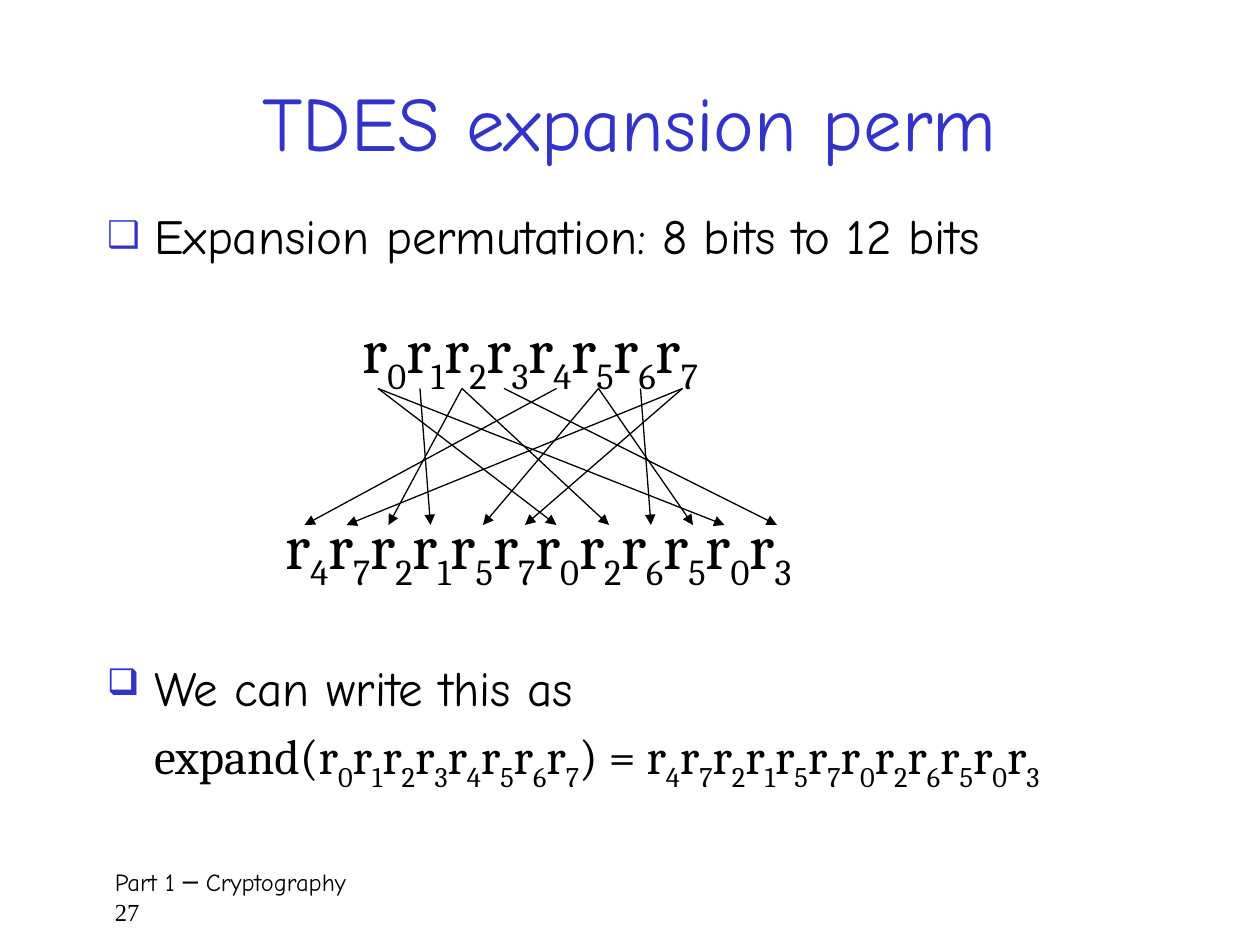
from itertools import groupby

from lxml import etree
from pptx import Presentation
from pptx.dml.color import RGBColor
from pptx.enum.shapes import MSO_CONNECTOR
from pptx.enum.text import MSO_ANCHOR, MSO_AUTO_SIZE, PP_ALIGN
from pptx.oxml.ns import qn
from pptx.util import Pt

BLACK = RGBColor(0x00, 0x00, 0x00)
BLUE = RGBColor(0x33, 0x33, 0xCC)
STRAIGHT = MSO_CONNECTOR.STRAIGHT
MIDDLE, TOP = MSO_ANCHOR.MIDDLE, MSO_ANCHOR.TOP
CENTER, LEFT = PP_ALIGN.CENTER, PP_ALIGN.LEFT
NO_AUTOFIT = MSO_AUTO_SIZE.NONE
HEADING_FONT, MATH_FONT, NUMBER_FONT = "Comic Neue", "Cambria", "Times New Roman"

EXPANSION = [4, 7, 2, 1, 5, 7, 0, 2, 6, 5, 0, 3]
INPUT_BITS = "".join(f"r{bit}" for bit in range(8))
OUTPUT_BITS = "".join(f"r{bit}" for bit in EXPANSION)


def add_text(para, text, font, size, color=BLACK, subscripts=False):
    """Add text to a paragraph, with digits set as subscripts if asked."""
    for is_digit, letters in groupby(text, lambda c: subscripts and c.isdigit()):
        span = para.add_run()
        span.text = "".join(letters)
        span.font.name = font
        span.font.size = Pt(size)
        span.font.color.rgb = color
        if is_digit:
            span.font._element.set("baseline", "-25000")


def format_item(para, bullet):
    """Indent a list paragraph and give it a blue box bullet, or none."""
    para.alignment = LEFT
    para.space_before = Pt(5.6)
    properties = para._p.get_or_add_pPr()
    properties.set("marL", str(Pt(27)))
    properties.set("indent", str(Pt(-27 if bullet else 0)))
    if not bullet:
        etree.SubElement(properties, qn("a:buNone"))
        return
    color = etree.SubElement(properties, qn("a:buClr"))
    etree.SubElement(color, qn("a:srgbClr"), val=str(BLUE))
    etree.SubElement(properties, qn("a:buSzPct"), val="75000")
    etree.SubElement(properties, qn("a:buChar"), char="❑")


deck = Presentation()
deck.slide_width, deck.slide_height = Pt(720), Pt(540)
page = deck.slides.add_slide(deck.slide_layouts[1])

# Title
title = page.shapes.title
title.left, title.top, title.width, title.height = Pt(54), Pt(24), Pt(612), Pt(90)
title.text_frame.vertical_anchor = MIDDLE
title.text_frame.auto_size = NO_AUTOFIT
title_para = title.text_frame.paragraphs[0]
title_para.alignment = CENTER
add_text(title_para, "TDES expansion perm", HEADING_FONT, 44, BLUE)

# First list item
body = page.placeholders[1]
body.left, body.top, body.width, body.height = Pt(54), Pt(114), Pt(612), Pt(54)
body.text_frame.vertical_anchor = TOP
body.text_frame.auto_size = NO_AUTOFIT
item = body.text_frame.paragraphs[0]
format_item(item, bullet=True)
add_text(item, "Expansion permutation: 8 bits to 12 bits", HEADING_FONT, 28)

# Input and output bit rows
for bits, left, top, width in [(INPUT_BITS, 200, 174, 226),
                               (OUTPUT_BITS, 156, 286, 426)]:
    row = page.shapes.add_textbox(Pt(left), Pt(top), Pt(width), Pt(50.5))
    row.text_frame.word_wrap = True
    add_text(row.text_frame.paragraphs[0], bits, MATH_FONT, 36, subscripts=True)

# Arrows from each input bit to its output positions
input_x = [216, 240, 264, 288, 318, 342, 366, 390]
output_x = [174, 198, 222, 246, 276, 300, 318, 348, 372, 396, 414, 444]
for bit, end_x in zip(EXPANSION, output_x):
    arrow = page.shapes.add_connector(
        STRAIGHT, Pt(input_x[bit]), Pt(222), Pt(end_x), Pt(300))
    arrow.line.color.rgb = BLACK
    arrow.line.width = Pt(0.75)
    etree.SubElement(arrow.line._get_or_add_ln(), qn("a:tailEnd"), type="triangle")
    etree.SubElement(arrow._element.spPr, qn("a:effectLst"))

# Second list item with the formula
formula_box = page.shapes.add_textbox(Pt(54), Pt(372), Pt(642), Pt(96))
formula_box.text_frame.word_wrap = True
item = formula_box.text_frame.paragraphs[0]
format_item(item, bullet=True)
add_text(item, "We can write this as", HEADING_FONT, 28)
formula = formula_box.text_frame.add_paragraph()
format_item(formula, bullet=False)
add_text(formula, f"expand({INPUT_BITS}) = {OUTPUT_BITS}", MATH_FONT, 28,
         subscripts=True)

# Footer and page number
footer = page.shapes.add_textbox(Pt(58.5), Pt(492), Pt(613), Pt(36))
footer.text_frame.word_wrap = True
add_text(footer.text_frame.paragraphs[0], "Part 1 ─ Cryptography", HEADING_FONT, 14)
add_text(footer.text_frame.add_paragraph(), "27", NUMBER_FONT, 14)

deck.save("out.pptx")
